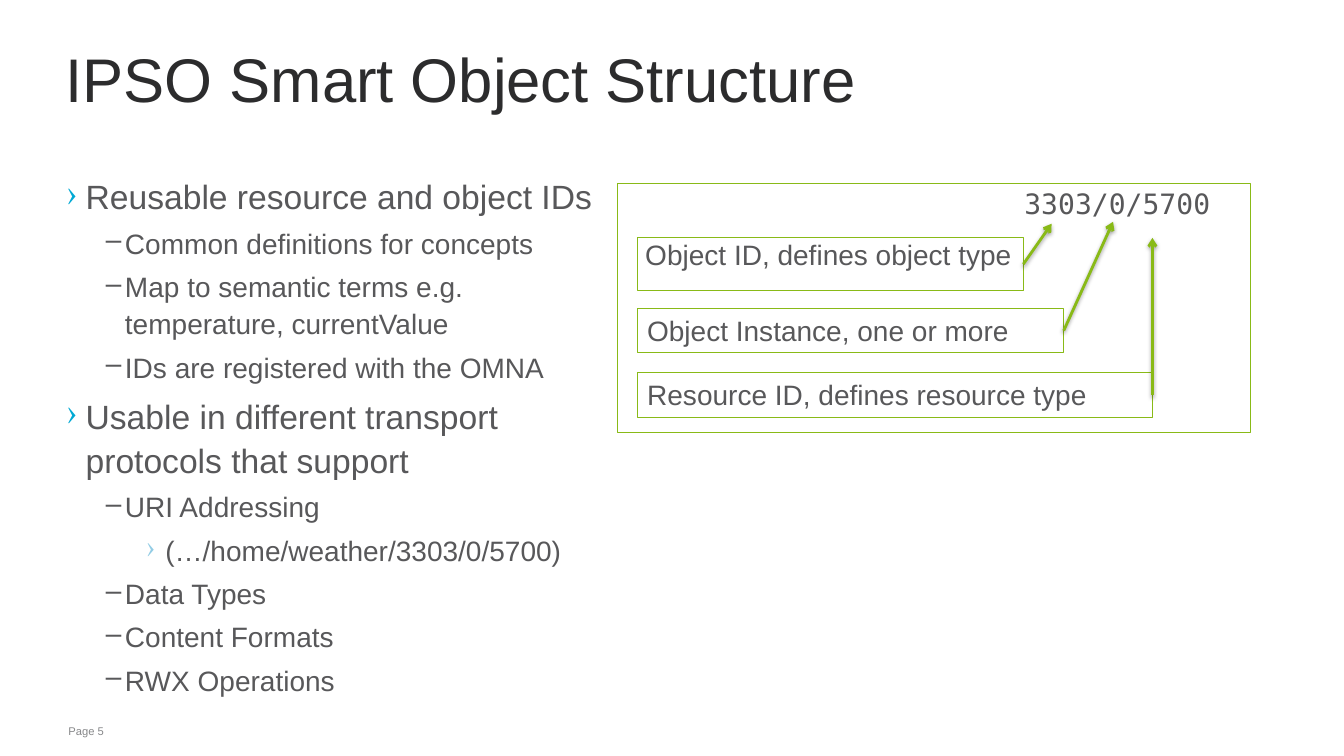
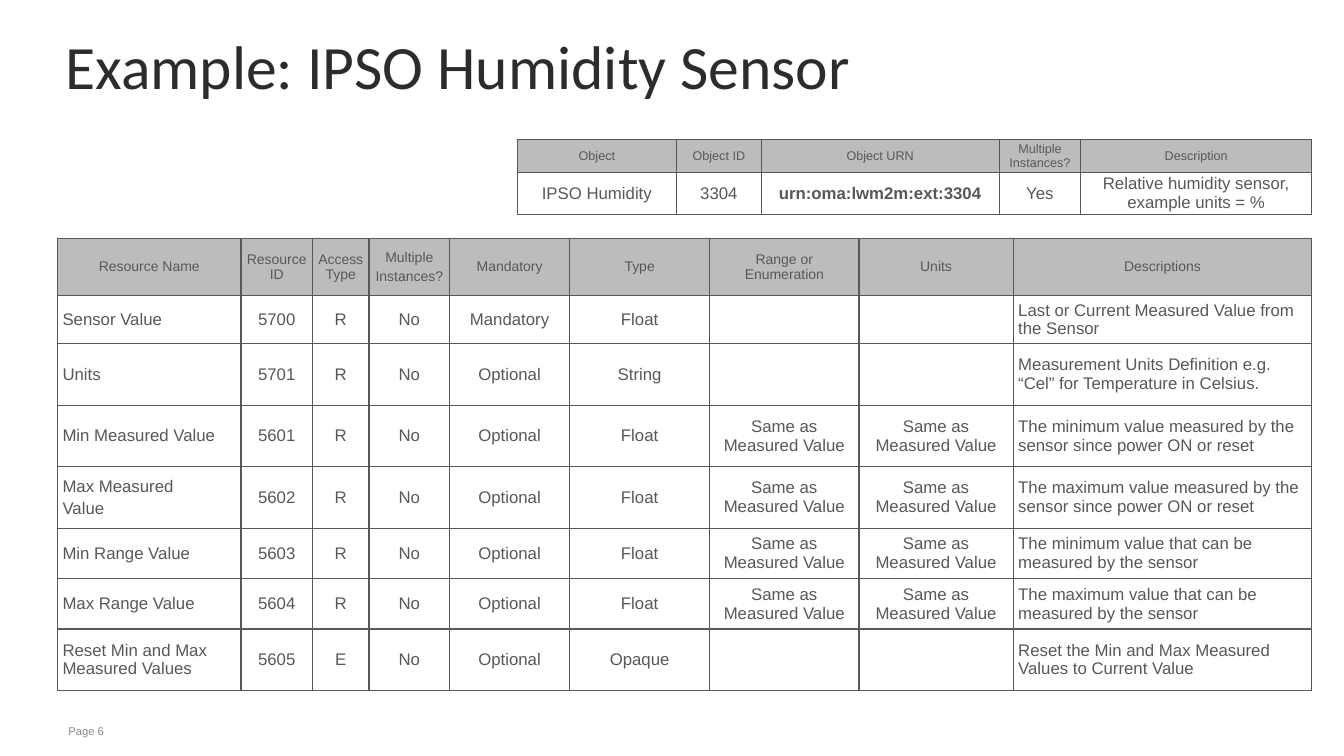
import dataclasses

import pptx
import pptx.dml.color
import pptx.enum.shapes
import pptx.enum.text
import pptx.oxml
import pptx.oxml.ns
import pptx.util

Inches = pptx.util.Inches
Pt = pptx.util.Pt
RGB = pptx.dml.color.RGBColor.from_string
ALIGN = pptx.enum.text.PP_ALIGN
ANCHOR = pptx.enum.text.MSO_ANCHOR
RECT = pptx.enum.shapes.MSO_SHAPE.RECTANGLE
STRAIGHT = pptx.enum.shapes.MSO_CONNECTOR.STRAIGHT
SPACE = pptx.oxml.ns.nsdecls("a")


@dataclasses.dataclass(frozen=True)
class Theme:
    ink: str = "2C2C2D"
    text: str = "58585A"
    faint: str = "87888A"
    green: str = "89BA17"
    blue: str = "00A9D4"
    pale: str = "92CCE5"
    head: str = "BCBCBD"
    font: str = "Arial"
    mono: str = "DejaVu Sans Mono"
    title: int = 44
    large: int = 24
    body: int = 20
    cell: int = 12
    label: int = 10
    small: int = 9
    foot: int = 8


theme = Theme()


def write(frame, text, size=theme.body, color=theme.text, font=theme.font,
          bold=False, align=ALIGN.LEFT, anchor=ANCHOR.TOP, inset=(0.1, 0.05),
          wrap=True, leading=None, gap=None):
    """Fill a text frame, one paragraph a line; inset is (sides, top and bottom)."""
    frame.word_wrap = wrap
    frame.auto_size = pptx.enum.text.MSO_AUTO_SIZE.NONE
    frame.vertical_anchor = anchor
    frame.margin_left = frame.margin_right = Inches(inset[0])
    frame.margin_top = frame.margin_bottom = Inches(inset[1])
    frame.text = text
    for para in frame.paragraphs:
        para.alignment = align
        para.line_spacing = leading
        if gap is not None:
            para.space_before = para.space_after = Pt(gap)
        for run in para.runs:
            run.font.size = Pt(size)
            run.font.name = font
            run.font.bold = bold
            run.font.color.rgb = RGB(color)


def grid(slide, left, top, cols, rows, data, label, inset, flush=(), strong=()):
    """Add a ruled table; flush columns align left, strong columns are bold."""
    table = slide.shapes.add_table(
        len(rows), len(cols), Inches(left), Inches(top),
        Inches(sum(cols)), Inches(sum(rows))).table
    table.first_row = table.horz_banding = False
    for col, width in zip(table.columns, cols):
        col.width = Inches(width)
    for y, (height, line) in enumerate(zip(rows, data)):
        table.rows[y].height = Inches(height)
        for x, text in enumerate(line):
            cell = table.cell(y, x)
            body = y > 0
            write(cell.text_frame, text, size=theme.cell if body else label,
                  bold=body and x in strong, gap=1,
                  align=ALIGN.LEFT if body and x in flush else ALIGN.CENTER)
            cell.vertical_anchor = ANCHOR.MIDDLE
            cell.margin_left = cell.margin_right = Inches(inset[0])
            cell.margin_top = cell.margin_bottom = Inches(inset[1])
            if body:
                cell.fill.background()
            else:
                cell.fill.solid()
                cell.fill.fore_color.rgb = RGB(theme.head)
            props = cell._tc.get_or_add_tcPr()
            for spot, side in enumerate("LRTB"):
                props.insert(spot, pptx.oxml.parse_xml(
                    f'<a:ln{side} {SPACE} w="{Pt(1)}"><a:solidFill>'
                    f'<a:srgbClr val="{theme.text}"/></a:solidFill></a:ln{side}>'))


deck = pptx.Presentation()
deck.slide_width, deck.slide_height = Inches(13.33), Inches(7.5)

# Titles and footers
slides = []
for page, text, font, top in [
    (5, "IPSO Smart Object Structure", theme.font, 0.26),
    (6, "Example: IPSO Humidity Sensor", "Calibri", 0.13),
]:
    slide = deck.slides.add_slide(deck.slide_layouts[5])
    title = slide.shapes.title
    title.left, title.top = Inches(0.57), Inches(top)
    title.width, title.height = Inches(11.36), Inches(1.19)
    write(title.text_frame, text, size=theme.title, color=theme.ink, font=font,
          anchor=ANCHOR.MIDDLE, inset=(0.08, 0), leading=0.75)
    foot = slide.shapes.add_textbox(
        Inches(0.58), Inches(7.14), Inches(10.79), Inches(0.24))
    write(foot.text_frame, f"Page {page}", size=theme.foot, color=theme.faint)
    slides.append(slide)
first, second = slides

# Bullet list
points = [
    (0, "Reusable resource and object IDs"),
    (1, "Common definitions for concepts"),
    (1, "Map to semantic terms e.g. temperature, currentValue"),
    (1, "IDs are registered with the OMNA"),
    (0, "Usable in different transport protocols that support"),
    (1, "URI Addressing"),
    (2, "(…/home/weather/3303/0/5700)"),
    (1, "Data Types"),
    (1, "Content Formats"),
    (1, "RWX Operations"),
]
levels = [
    (theme.large, 0.19, "›", theme.blue),
    (theme.body, 0.58, "–", theme.text),
    (theme.body, 0.98, "›", theme.pale),
]
box = first.shapes.add_textbox(
    Inches(0.58), Inches(1.71), Inches(5.54), Inches(5.23))
write(box.text_frame, "\n".join(text for level, text in points),
      inset=(0.08, 0), leading=1.1)
for para, (level, text) in zip(box.text_frame.paragraphs, points):
    size, indent, mark, color = levels[level]
    para.level = level
    para.space_before = Pt(round(size * 0.23, 1))
    para.runs[0].font.size = Pt(size)
    props = para._p.get_or_add_pPr()
    props.set("marL", str(Inches(indent)))
    props.set("indent", str(-Inches(0.19)))
    props.append(pptx.oxml.parse_xml(
        f'<a:buClr {SPACE}><a:srgbClr val="{color}"/></a:buClr>'))
    props.append(pptx.oxml.parse_xml(f'<a:buChar {SPACE} char="{mark}"/>'))

# Object path with its labelled parts
label = first.shapes.add_textbox(
    Inches(10.16), Inches(1.85), Inches(1.95), Inches(0.45))
write(label.text_frame, "3303/0/5700", font=theme.mono, inset=(0, 0), wrap=False)

for left, top, width, height, text, inset, tip in [
    (6.32, 2.36, 3.83, 0.52, "Object ID, defines object type", (0.08, 0), (10.43, 2.22)),
    (6.32, 3.06, 4.23, 0.44, "Object Instance, one or more", (0.1, 0.05), (11.04, 2.2)),
    (6.32, 3.7, 5.11, 0.44, "Resource ID, defines resource type", (0.1, 0.05), (11.43, 2.36)),
    (6.12, 1.82, 6.28, 2.47, "", (0, 0), None),
]:
    part = first.shapes.add_shape(
        RECT, Inches(left), Inches(top), Inches(width), Inches(height))
    part.shadow.inherit = False
    part.fill.background()
    part.line.color.rgb = RGB(theme.green)
    part.line.width = Pt(0.75)
    if not tip:
        continue
    write(part.text_frame, text, inset=inset, wrap=False)
    arrow = first.shapes.add_connector(
        STRAIGHT, Inches(left + width), Inches(top + height / 2),
        Inches(tip[0]), Inches(tip[1]))
    arrow.line.color.rgb = RGB(theme.green)
    arrow.line.width = Pt(2)
    props = arrow._element.spPr
    props.find(pptx.oxml.ns.qn("a:ln")).append(
        pptx.oxml.parse_xml(f'<a:tailEnd {SPACE} type="arrow"/>'))
    props.append(pptx.oxml.parse_xml(
        f'<a:effectLst {SPACE}><a:outerShdw blurRad="{Pt(3.1)}" dist="{Pt(1.6)}" '
        'dir="5400000" rotWithShape="0"><a:srgbClr val="000000">'
        '<a:alpha val="38000"/></a:srgbClr></a:outerShdw></a:effectLst>'))

# Resource table
same = "Same as Measured Value"
grid(second, 0.57, 2.37,
     [1.82, 0.71, 0.56, 0.8, 1.19, 1.39, 1.48, 1.53, 2.96],
     [0.56, 0.48, 0.61, 0.61, 0.61, 0.5, 0.5, 0.61], [
         ("Resource Name", "Resource ID", "Access Type", "Multiple\nInstances?",
          "Mandatory", "Type", "Range or Enumeration", "Units", "Descriptions"),
         ("Sensor Value", "5700", "R", "No", "Mandatory", "Float", "", "",
          "Last or Current Measured Value from the Sensor"),
         ("Units", "5701", "R", "No", "Optional", "String", "", "",
          "Measurement Units Definition e.g. “Cel” for Temperature in Celsius."),
         ("Min Measured Value", "5601", "R", "No", "Optional", "Float", same, same,
          "The minimum value measured by the sensor since power ON or reset"),
         ("Max Measured\nValue", "5602", "R", "No", "Optional", "Float", same, same,
          "The maximum value measured by the sensor since power ON or reset"),
         ("Min Range Value", "5603", "R", "No", "Optional", "Float", same, same,
          "The minimum value that can be measured by the sensor"),
         ("Max Range Value", "5604", "R", "No", "Optional", "Float", same, same,
          "The maximum value that can be measured by the sensor"),
         ("Reset Min and Max Measured Values", "5605", "E", "No", "Optional",
          "Opaque", "", "", "Reset the Min and Max Measured Values to Current Value"),
     ], theme.label, (0.05, 0.05), flush=(0, 8))

# Object table
grid(second, 5.13, 1.38, [1.58, 0.84, 2.36, 0.81, 2.29], [0.33, 0.42], [
    ("Object", "Object ID", "Object URN", "Multiple Instances?", "Description"),
    ("IPSO Humidity", "3304", "urn:oma:lwm2m:ext:3304", "Yes",
     "Relative humidity sensor, example units = %"),
], theme.small, (0.07, 0), strong=(2,))

deck.save("out.pptx")
